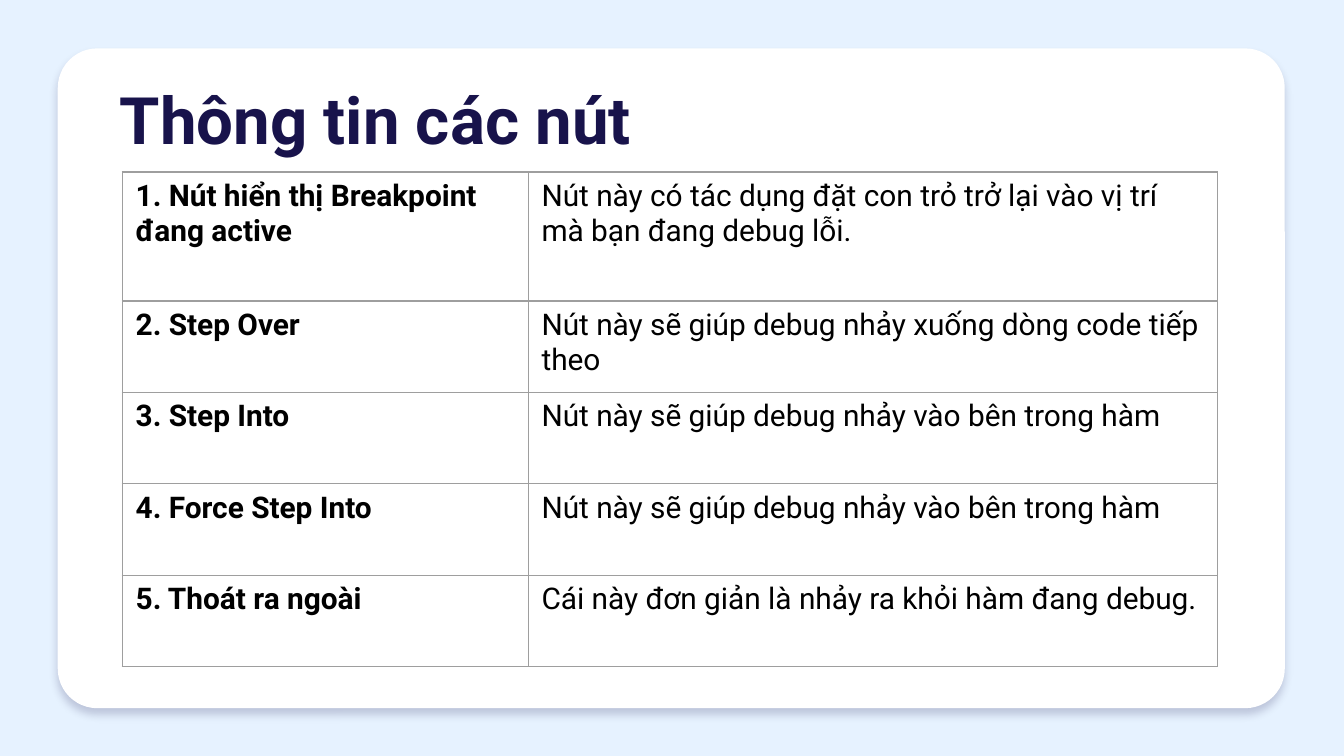
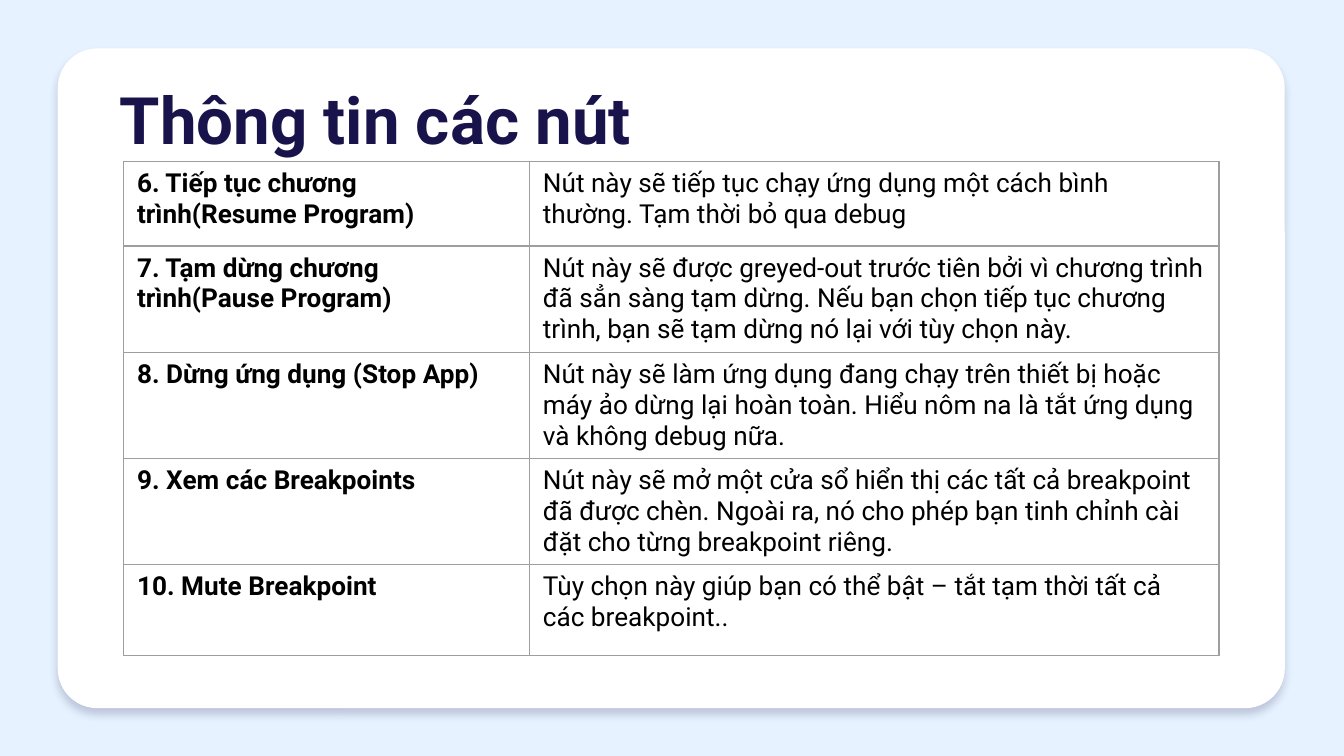
from lxml import etree
from pptx import Presentation
from pptx.dml.color import RGBColor
from pptx.enum.shapes import MSO_SHAPE as Shape
from pptx.enum.text import MSO_ANCHOR as Anchor, MSO_AUTO_SIZE as AutoSize, PP_ALIGN as Align
from pptx.oxml import parse_xml
from pptx.oxml.ns import nsdecls, qn
from pptx.util import Inches, Pt

TITLE = "Thông tin các nút"
STEP_BUTTONS = [
    ("1. Nút hiển thị Breakpoint đang active",
     "Nút này có tác dụng đặt con trỏ trở lại vào vị trí mà bạn đang debug lỗi."),
    ("2. Step Over", "Nút này sẽ giúp debug nhảy xuống dòng code tiếp theo"),
    ("3. Step Into", "Nút này sẽ giúp debug nhảy vào bên trong hàm"),
    ("4. Force Step Into", "Nút này sẽ giúp debug nhảy vào bên trong hàm"),
    ("5. Thoát ra ngoài", "Cái này đơn giản là nhảy ra khỏi hàm đang debug."),
]
PROGRAM_BUTTONS = [
    ("6. Tiếp tục chương trình(Resume Program)",
     "Nút này sẽ tiếp tục chạy ứng dụng một cách bình thường. Tạm thời bỏ qua debug"),
    ("7. Tạm dừng chương trình(Pause Program)",
     "Nút này sẽ được greyed-out trước tiên bởi vì chương trình đã sẳn sàng tạm dừng. "
     "Nếu bạn chọn tiếp tục chương trình, bạn sẽ tạm dừng nó lại với tùy chọn này."),
    ("8. Dừng ứng dụng (Stop App)",
     "Nút này sẽ làm ứng dụng đang chạy trên thiết bị hoặc máy ảo dừng lại hoàn toàn. "
     "Hiểu nôm na là tắt ứng dụng và không debug nữa."),
    ("9. Xem các Breakpoints",
     "Nút này sẽ mở một cửa sổ hiển thị các tất cả breakpoint đã được chèn. "
     "Ngoài ra, nó cho phép bạn tinh chỉnh cài đặt cho từng breakpoint riêng."),
    ("10. Mute Breakpoint",
     "Tùy chọn này giúp bạn có thể bật – tắt tạm thời tất cả các breakpoint.."),
]


def color(value):
    return RGBColor.from_string(value)


class Deck:
    FONT = "Roboto"
    NAVY, SKY, WHITE, BLACK, GRAY = "18134B", "E6F2FF", "FFFFFF", "000000", "9E9E9E"
    COLUMNS = (3.02, 5.13)

    def __init__(self):
        self.prs = Presentation()
        self.prs.slide_width, self.prs.slide_height = Inches(10), Inches(5.625)
        backdrop = self.prs.slide_master.background.fill
        backdrop.solid()
        backdrop.fore_color.rgb = color(self.SKY)
        self.slide = None

    def add_slide(self, heading):
        self.slide = self.prs.slides.add_slide(self.prs.slide_layouts[5])
        self.title(heading)
        self.card()

    def style(self, paragraph, size, ink, bold):
        font = paragraph.font
        font.name, font.size, font.bold = self.FONT, Pt(size), bold
        font.color.rgb = color(ink)

    def title(self, heading):
        title = self.slide.shapes.title
        title.left, title.top = Inches(0.79), Inches(0.49)
        title.width, title.height = Inches(8.43), Inches(0.63)
        frame = title.text_frame
        frame.text = heading
        frame.auto_size, frame.vertical_anchor = AutoSize.NONE, Anchor.TOP
        frame.margin_left = frame.margin_right = Inches(0.1)
        frame.margin_top = frame.margin_bottom = Inches(0.1)
        frame.paragraphs[0].alignment = Align.LEFT
        self.style(frame.paragraphs[0], 35, self.NAVY, True)

    def card(self):
        card = self.slide.shapes.add_shape(
            Shape.ROUNDED_RECTANGLE, Inches(0.43), Inches(0.36), Inches(9.13), Inches(4.91))
        card.adjustments[0] = 0.06
        card.fill.solid()
        card.fill.fore_color.rgb = color(self.WHITE)
        card.line.fill.background()
        card.shadow.inherit = False
        effects = card._element.spPr.find(qn("a:effectLst"))
        effects.append(parse_xml(
            f'<a:outerShdw {nsdecls("a")} blurRad="{Pt(4.5)}" dist="{Pt(3.8)}" dir="5400000" '
            f'algn="bl" rotWithShape="0"><a:srgbClr val="{self.NAVY}">'
            '<a:alpha val="20000"/></a:srgbClr></a:outerShdw>'))
        self.slide.shapes.title._element.addprevious(card._element)

    def table(self, buttons, left, top, first_height, size):
        heights = [first_height] + [0.68] * (len(buttons) - 1)
        table = self.slide.shapes.add_table(
            len(buttons), len(self.COLUMNS), Inches(left), Inches(top),
            Inches(sum(self.COLUMNS)), Inches(sum(heights))).table
        table.first_row = table.horz_banding = False
        for column, width in zip(table.columns, self.COLUMNS):
            column.width = Inches(width)
        for row, height, texts in zip(table.rows, heights, buttons):
            row.height = Inches(height)
            for index, (cell, text) in enumerate(zip(row.cells, texts)):
                cell.text = text
                cell.fill.background()
                self.style(cell.text_frame.paragraphs[0], size, self.BLACK, index == 0)
                self.borders(cell)

    def borders(self, cell):
        properties = cell._tc.get_or_add_tcPr()
        for position, side in enumerate(("lnL", "lnR", "lnT", "lnB")):
            line = etree.Element(qn(f"a:{side}"), w=str(Pt(0.75)))
            fill = etree.SubElement(line, qn("a:solidFill"))
            etree.SubElement(fill, qn("a:srgbClr"), val=self.GRAY)
            properties.insert(position, line)


def main():
    deck = Deck()
    deck.add_slide(TITLE)
    deck.table(STEP_BUTTONS, 0.91, 1.28, 0.96, 16)
    deck.add_slide(TITLE)
    deck.table(PROGRAM_BUTTONS, 0.92, 1.2, 0.63, 14)
    deck.prs.save("out.pptx")


if __name__ == "__main__":
    main()
